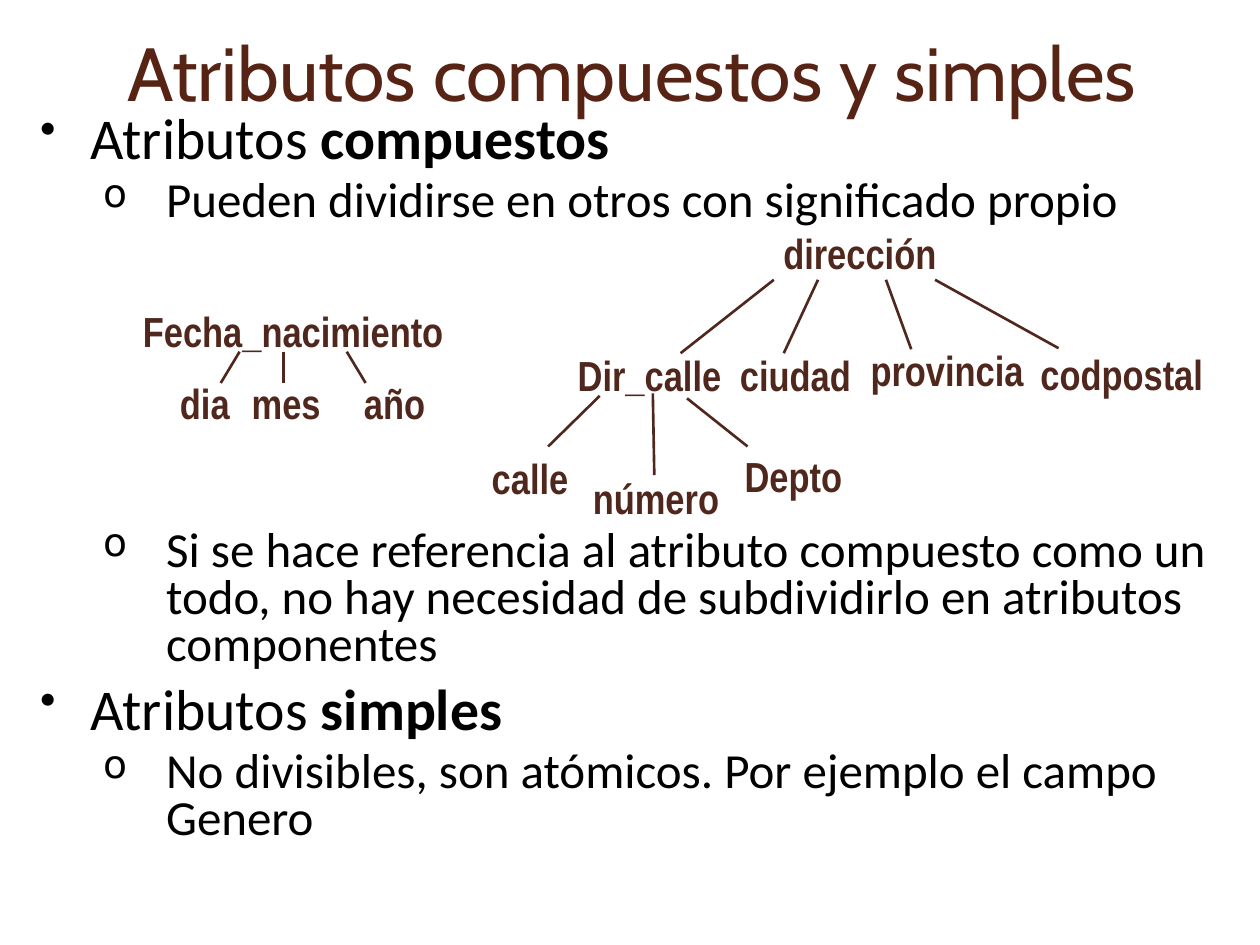
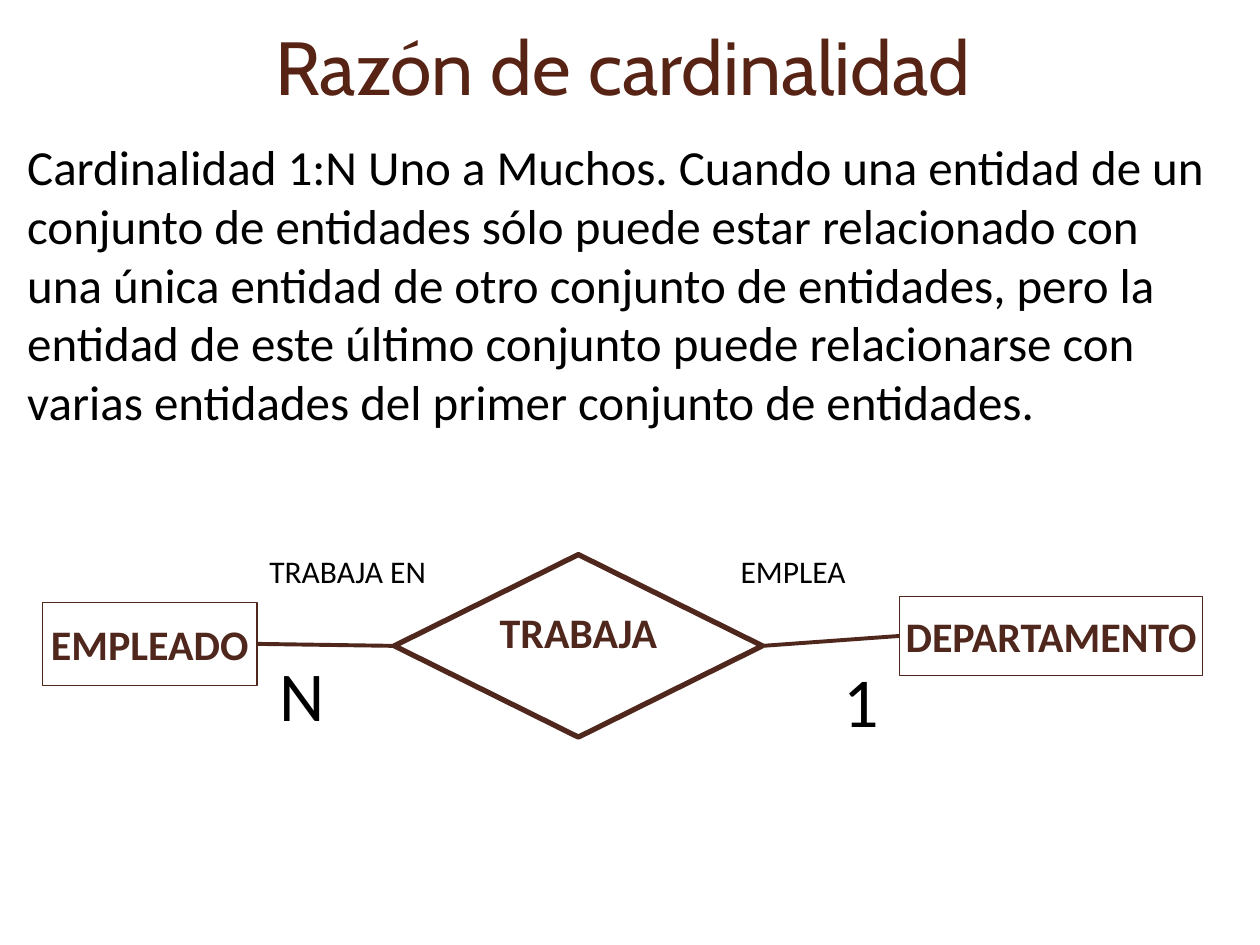
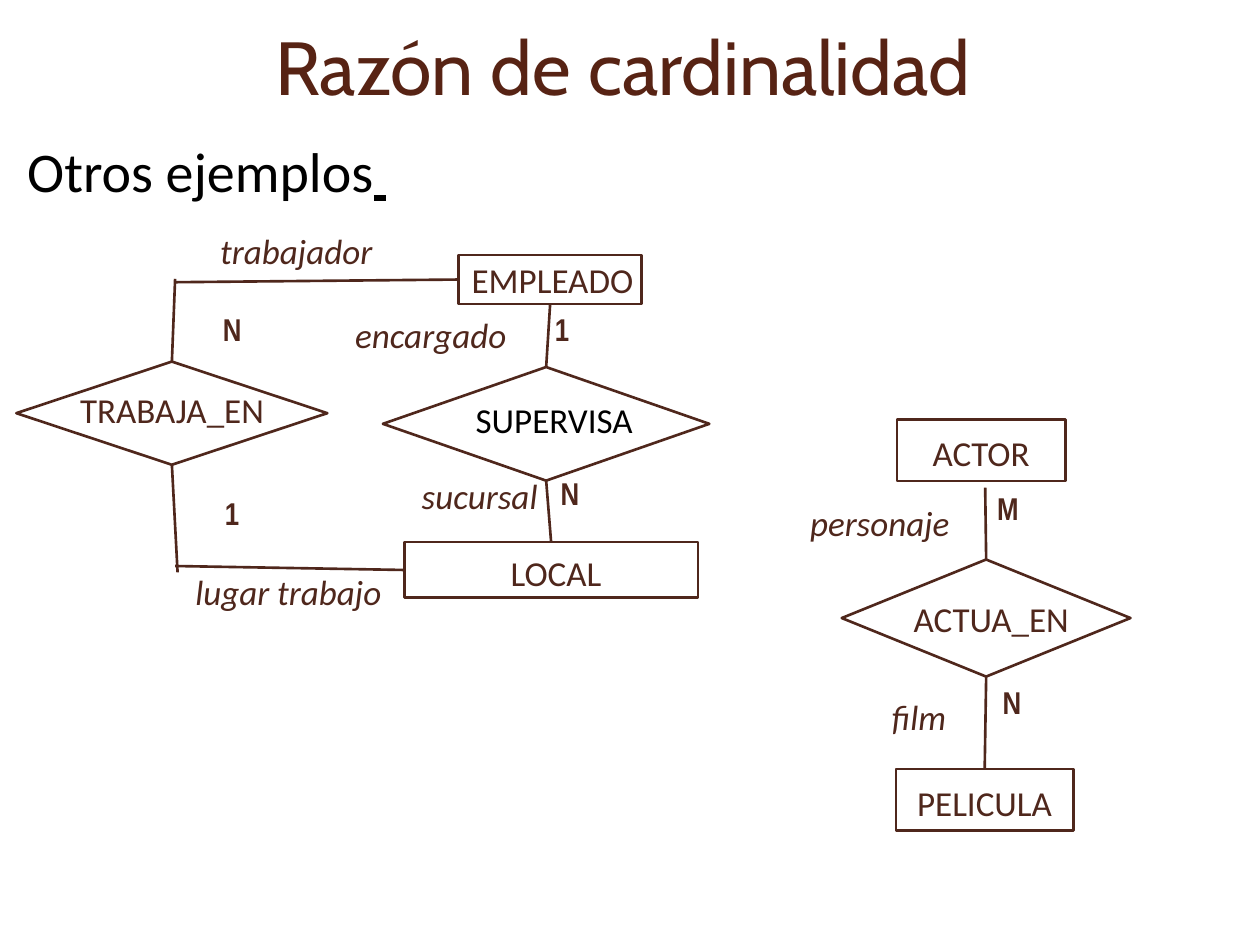
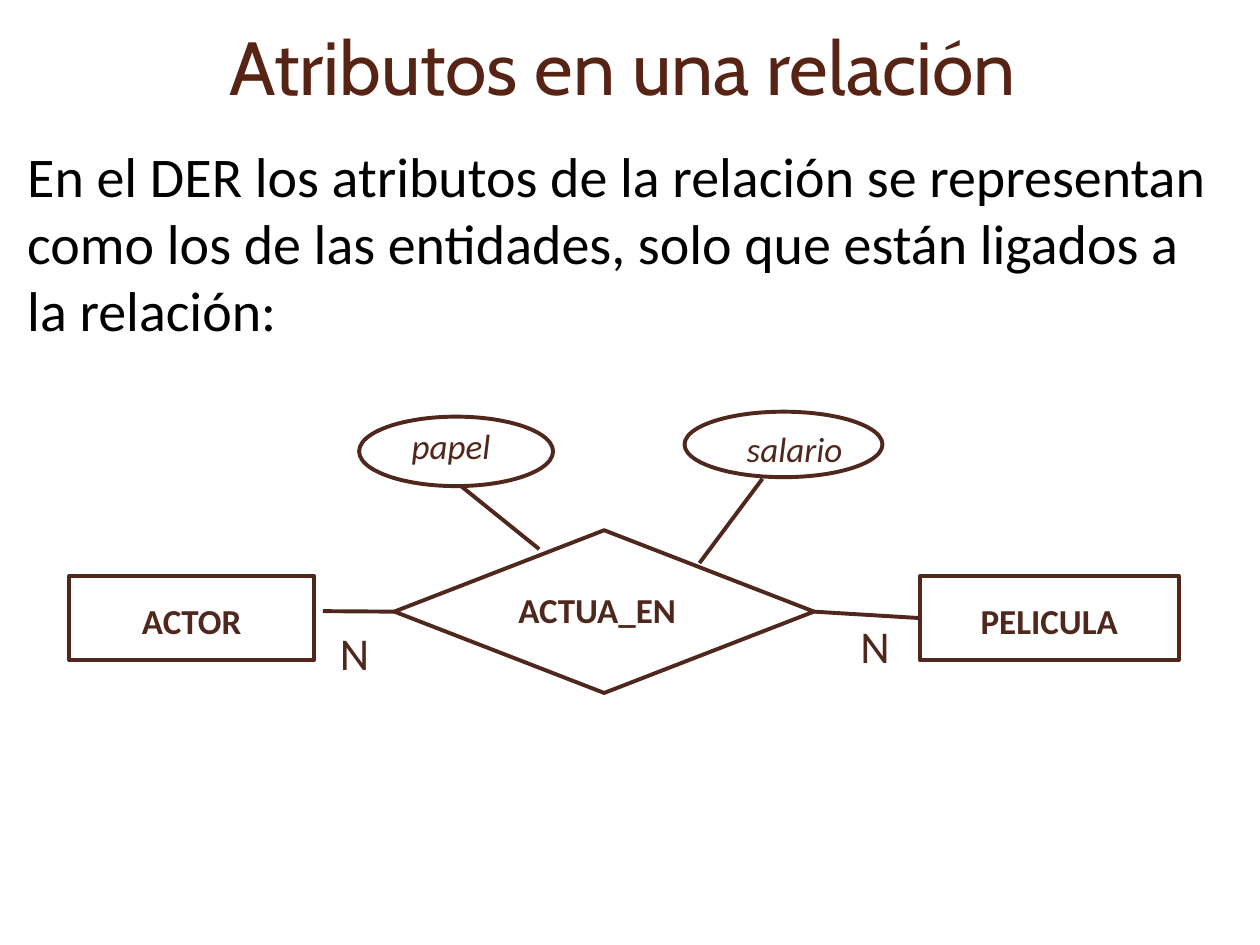
from dataclasses import dataclass
from typing import Any

from lxml import etree
from pptx import Presentation
from pptx.dml.color import RGBColor
from pptx.enum.shapes import MSO_CONNECTOR, MSO_SHAPE
from pptx.enum.text import MSO_ANCHOR, MSO_AUTO_SIZE, PP_ALIGN
from pptx.oxml.ns import qn
from pptx.util import Cm, Pt

STRAIGHT = MSO_CONNECTOR.STRAIGHT
RECTANGLE, DIAMOND, OVAL = MSO_SHAPE.RECTANGLE, MSO_SHAPE.DIAMOND, MSO_SHAPE.OVAL
TOP_ANCHOR, MIDDLE = MSO_ANCHOR.TOP, MSO_ANCHOR.MIDDLE
FIXED = MSO_AUTO_SIZE.NONE
LEFT_ALIGN, CENTER, RIGHT_ALIGN = PP_ALIGN.LEFT, PP_ALIGN.CENTER, PP_ALIGN.RIGHT
TOP, LEFT, BOTTOM, RIGHT = range(4)
TITLE_ONLY = 5

COLORS = {"title": "572314", "diagram": "4F271C", "text": "000000", "paper": "FFFFFF"}

TITLE_BOX = (0.3, 0, 24.51, 2.62)
STANDARD_INSETS = (0.25, 0.13, 0.25, 0.13)
TIGHT_INSETS = (0, 0.13, 0, 0.03)
SIDE_INSETS = (0.2, 0, 0.2, 0)

TITLE = {"name": "Cabin", "size": Pt(43), "bold": False}
BODY = {"name": "Calibri", "size": Pt(28)}
BODY_LARGE = {"name": "Calibri", "size": Pt(32)}
TREE_LABEL = {"name": "Arial Narrow", "size": Pt(24), "bold": True}
ENTITY_LARGE = {"name": "Calibri", "size": Pt(24), "bold": True}
ENTITY = {"name": "Calibri", "size": Pt(20)}
ENTITY_BOLD = {**ENTITY, "bold": True}
ROLE = {**ENTITY, "italic": True}
ROLE_SMALL = {"name": "Calibri", "size": Pt(18)}
CARDINALITY = {"name": "Arial Narrow", "size": Pt(18), "bold": True}
CARDINALITY_MEDIUM = {"name": "Calibri", "size": Pt(26)}
CARDINALITY_LARGE = {"name": "Calibri", "size": Pt(40)}

LEVELS = [
    {"bullet": "•", "indent": 1.02, "hanging": 1.02, "size": 33, "line_spacing": 0.7},
    {"bullet": "o", "indent": 2.54, "hanging": 1.27, "size": 28, "line_spacing": 0.8},
]


def rgb(color):
    return RGBColor.from_string(COLORS[color])


def set_all(target, values):
    for attribute, value in values.items():
        setattr(target, attribute, value)


def add_run(paragraph, text, font, color="text"):
    run = paragraph.add_run()
    run.text = text
    set_all(run.font, font)
    run.font.color.rgb = rgb(color)


def format_frame(frame, insets=STANDARD_INSETS, anchor=TOP_ANCHOR, wrap=True):
    sides = ("margin_left", "margin_top", "margin_right", "margin_bottom")
    set_all(frame, dict(zip(sides, map(Cm, insets))))
    set_all(frame, {"auto_size": FIXED, "vertical_anchor": anchor, "word_wrap": wrap})


def write(frame, text, font, color, align, **frame_format):
    format_frame(frame, **frame_format)
    paragraph = frame.paragraphs[0]
    paragraph.alignment = align
    add_run(paragraph, text, font, color)


@dataclass
class Region:
    """Draws on a slide, in centimetres from its own left and top."""
    slide: Any
    left: float = 0
    top: float = 0

    def place(self, x, y):
        return Cm(self.left + x), Cm(self.top + y)

    def text_box(self, x, y, width, height):
        return self.slide.shapes.add_textbox(*self.place(x, y), Cm(width), Cm(height))

    def label(self, text, box, font, color="diagram", align=CENTER, **frame_format):
        frame = self.text_box(*box).text_frame
        write(frame, text, font, color, align, **frame_format)
        return frame

    def outline(self, preset, box, weight, fill=None, text="", font=ENTITY, **frame_format):
        x, y, width, height = box
        shape = self.slide.shapes.add_shape(preset, *self.place(x, y), Cm(width), Cm(height))
        shape.shadow.inherit = False
        if fill:
            shape.fill.solid()
            shape.fill.fore_color.rgb = rgb(fill)
        else:
            shape.fill.background()
        shape.line.color.rgb = rgb("diagram")
        shape.line.width = Pt(weight)
        if text:
            write(shape.text_frame, text, font, "diagram", CENTER, **frame_format)
        return shape

    def link(self, start, end, weight=1.5):
        """Join two ends, each a point (x, y) or a pair (shape, side)."""
        points = [self.place(0, 0) if hasattr(a, "shape_id") else self.place(a, b)
                  for a, b in (start, end)]
        line = self.slide.shapes.add_connector(STRAIGHT, *points[0], *points[1])
        for (target, side), connect in ((start, line.begin_connect), (end, line.end_connect)):
            if hasattr(target, "shape_id"):
                connect(target, side)
        line.line.color.rgb = rgb("diagram")
        line.line.width = Pt(weight)
        properties = line._element.spPr
        etree.SubElement(properties, qn("a:effectLst"))


def add_titled_slide(deck, title, box=TITLE_BOX):
    slide = deck.slides.add_slide(deck.slide_layouts[TITLE_ONLY])
    heading = slide.shapes.title
    set_all(heading, dict(zip(("left", "top", "width", "height"), map(Cm, box))))
    write(heading.text_frame, title, TITLE, "title", CENTER, anchor=MIDDLE)
    return slide


def add_body(slide, text, box, font):
    return Region(slide).label(text, box, font, "text", LEFT_ALIGN)


def add_bullet(paragraph, level):
    properties = paragraph._p.get_or_add_pPr()
    properties.set("marL", str(Cm(level["indent"])))
    properties.set("indent", str(-Cm(level["hanging"])))
    etree.SubElement(properties, qn("a:buSzPct"), val="80000")
    etree.SubElement(properties, qn("a:buChar"), char=level["bullet"])


def add_outline_list(slide, box, items):
    """Write items of (level, text, bold ending, space before, space after)."""
    frame = Region(slide).text_box(*box).text_frame
    format_frame(frame)
    for index, (depth, text, ending, before, after) in enumerate(items):
        paragraph = frame.add_paragraph() if index else frame.paragraphs[0]
        level = LEVELS[depth]
        add_bullet(paragraph, level)
        set_all(paragraph, {"level": depth, "line_spacing": level["line_spacing"],
                            "space_before": Pt(before), "space_after": Pt(after)})
        font = {"name": "Calibri", "size": Pt(level["size"])}
        add_run(paragraph, text, font)
        if ending:
            add_run(paragraph, ending, {**font, "bold": True})


def draw_tree(region, names, branches):
    for name, x, y, width in names:
        region.label(name, (x, y, width, 1.28), TREE_LABEL, wrap=False)
    for start, end in branches:
        region.link(start, end)


def draw_birth_date(region):
    names = [("Fecha_nacimiento", 0, 0, 6.58), ("dia", 0.76, 1.47, 1.5),
             ("mes", 2.21, 1.47, 1.88), ("año", 4.47, 1.47, 1.73)]
    branches = [((upper, 1.07), (lower, 1.7))
                for upper, lower in ((2.21, 1.83), (3.1, 3.1), (4.37, 4.75))]
    draw_tree(region, names, branches)


def draw_address(region):
    names = [
        ("dirección", 6.32, 0, 3.53),
        ("Dir_calle", 2.41, 2.46, 2.87),
        ("ciudad", 5.44, 2.46, 2.69),
        ("provincia", 8.08, 2.36, 3.53),
        ("codpostal", 11.51, 2.44, 3.71),
        ("calle", 0, 4.55, 2.87),
        ("número", 2.54, 4.95, 2.87),
        ("Depto", 5.31, 4.5, 2.87),
    ]
    branches = [
        ((6.35, 1.19), (4.47, 2.67)),
        ((7.24, 1.19), (6.55, 2.67)),
        ((8.61, 1.19), (9.12, 2.59)),
        ((9.6, 1.19), (12.09, 2.57)),
        ((2.84, 3.53), (1.8, 4.55)),
        ((3.91, 3.48), (3.94, 5.13)),
        ((4.6, 3.58), (5.82, 4.55)),
    ]
    draw_tree(region, names, branches)


def draw_works(region):
    entity = {"font": ENTITY_LARGE, "insets": SIDE_INSETS, "anchor": MIDDLE, "wrap": False}
    employee = region.outline(RECTANGLE, (0, 1.14, 4.32, 1.68), 0.75, text="EMPLEADO", **entity)
    department = region.outline(RECTANGLE, (17.27, 1.02, 6.12, 1.6), 0.75,
                                text="DEPARTAMENTO", **entity)
    works = region.outline(DIAMOND, (7.09, 0.18, 7.42, 3.68), 3, text="TRABAJA",
                           font=ENTITY_LARGE)
    region.link((employee, RIGHT), (works, LEFT), 2.25)
    region.link((works, RIGHT), (department, LEFT), 2.25)
    for text, box, font in (
        ("TRABAJA EN", (4.32, 0, 3.68, 1.02), ROLE_SMALL),
        ("EMPLEA", (13.82, 0, 2.64, 1.02), ROLE_SMALL),
        ("N", (4.52, 2.01, 1.42, 1.96), CARDINALITY_LARGE),
        ("1", (15.9, 2.13, 1.24, 1.96), CARDINALITY_LARGE),
    ):
        region.label(text, box, font, "text", LEFT_ALIGN, wrap=False)


def add_roles(region, roles):
    for text, x, y, width, align in roles:
        region.label(text, (x, y, width, 1.12), ROLE, align=align, insets=TIGHT_INSETS)


def add_cardinalities(region, marks):
    for text, x, y in marks:
        region.label(text, (x, y, 1.24, 1.12), CARDINALITY, insets=TIGHT_INSETS)


def draw_staff(region):
    employee = region.outline(RECTANGLE, (8.92, 0.64, 3.68, 0.99), 1.5, text="EMPLEADO",
                              insets=(0.2, 0.03, 0.1, 0.03), anchor=MIDDLE)
    premises = region.outline(RECTANGLE, (7.82, 6.43, 5.92, 1.12), 1.5, text="LOCAL",
                              insets=(0.2, 0.13, 0, 0.03), anchor=MIDDLE)
    works_in = region.outline(DIAMOND, (0, 2.79, 6.27, 2.08), 1.5, "paper")
    supervises = region.outline(DIAMOND, (7.39, 2.9, 6.58, 2.29), 1.5, "paper")
    for start, end in (
        ((employee, BOTTOM), (supervises, TOP)),
        ((supervises, BOTTOM), (premises, TOP)),
        ((works_in, TOP), (3.2, 1.12)),
        ((3.2, 1.19), (employee, LEFT)),
        ((works_in, BOTTOM), (3.25, 7.04)),
        ((3.2, 6.91), (premises, LEFT)),
    ):
        region.link(start, end)
    region.label("TRABAJA_EN", (1.07, 3.2, 4.14, 1.22), ENTITY, wrap=False)
    region.label("SUPERVISA", (8.99, 3.4, 3.71, 1.12), ENTITY, "text", wrap=False)
    add_roles(region, [
        ("trabajador", 4.11, 0, 3.68, LEFT_ALIGN),
        ("encargado", 6.83, 1.7, 3.68, LEFT_ALIGN),
        ("sucursal", 7.54, 4.93, 2.97, RIGHT_ALIGN),
        ("lugar trabajo", 3.25, 6.88, 4.47, CENTER),
    ])
    add_cardinalities(region, [("N", 3.73, 1.63), ("1", 3.73, 5.33),
                               ("1", 10.38, 1.63), ("N", 10.54, 4.93)])


def draw_cast(region):
    entity = {"insets": TIGHT_INSETS, "anchor": MIDDLE}
    region.outline(RECTANGLE, (1.75, 0, 3.4, 1.24), 1.5, text="ACTOR", **entity)
    film = region.outline(RECTANGLE, (1.73, 7.04, 3.58, 1.24), 1.5, text="PELICULA", **entity)
    acts_in = region.outline(DIAMOND, (0.64, 2.82, 5.82, 2.36), 1.5)
    region.link((acts_in, TOP), (3.53, 1.37))
    region.link((acts_in, BOTTOM), (film, TOP))
    region.label("ACTUA_EN", (1.75, 3.45, 3.81, 1.37), ENTITY, wrap=False)
    add_roles(region, [("personaje", 0, 1.52, 4.01, LEFT_ALIGN),
                       ("film", 1.65, 5.44, 2.95, LEFT_ALIGN)])
    add_cardinalities(region, [("M", 3.37, 1.27), ("N", 3.45, 5.18)])


def draw_relation_attributes(region):
    entity = {"font": ENTITY_BOLD, "insets": TIGHT_INSETS, "anchor": MIDDLE}
    region.outline(RECTANGLE, (0, 3.51, 4.93, 1.7), 2.25, "paper", "ACTOR", **entity)
    film = region.outline(RECTANGLE, (17.15, 3.51, 5.21, 1.7), 2.25, "paper", "PELICULA", **entity)
    acts_in = region.outline(DIAMOND, (6.55, 2.59, 8.46, 3.28), 2.25, "paper")
    region.label("ACTUA_EN", (7.87, 3.63, 5.54, 1.5), ENTITY_BOLD, wrap=False)
    for attribute, oval, caption in (
        ("papel", (5.84, 0.3, 3.91, 1.4), (6.45, 0, 2.49, 1.78)),
        ("salario", (12.4, 0.2, 3.99, 1.32), (13.16, 0.05, 2.92, 1.78)),
    ):
        region.outline(OVAL, oval, 2.25, "paper")
        region.label(attribute, caption, ROLE, insets=(0.1,) * 4, anchor=MIDDLE, wrap=False)
    for start, end in (
        ((acts_in, LEFT), (5.11, 4.22)),
        ((acts_in, RIGHT), (film, LEFT)),
        ((7.87, 1.68), (9.47, 2.97)),
        ((13.97, 1.55), (12.7, 3.25)),
    ):
        region.link(start, end, 2.25)
    for box in ((5.23, 4.37, 1.04, 1.42), (15.54, 4.22, 1.4, 1.55)):
        region.label("N", box, CARDINALITY_MEDIUM, insets=TIGHT_INSETS, wrap=False)


def build_composite_attributes(deck):
    slide = add_titled_slide(deck, "Atributos compuestos y simples", (0.56, 0, 24.36, 2.87))
    add_outline_list(slide, (0.56, 2.31, 25.1, 16.21), [
        (0, "Atributos ", "compuestos", 0, 6),
        (1, "Pueden dividirse en otros con significado propio", "", 0, 6),
        (1, "Si se hace referencia al atributo compuesto como un todo, no hay "
            "necesidad de subdividirlo en atributos componentes", "", 167, 12),
        (0, "Atributos ", "simples", 0, 6),
        (1, "No divisibles, son atómicos. Por ejemplo el campo Genero", "", 0, 6),
    ])
    draw_birth_date(Region(slide, 2.62, 6.02))
    draw_address(Region(slide, 9.25, 4.45))


def build_one_to_many(deck):
    slide = add_titled_slide(deck, "Razón de cardinalidad")
    add_body(slide, "Cardinalidad 1:N Uno a Muchos. Cuando una entidad de un conjunto de "
             "entidades sólo puede estar relacionado con una única entidad de otro conjunto "
             "de entidades, pero la entidad de este último conjunto puede relacionarse con "
             "varias entidades del primer conjunto de entidades.",
             (0.3, 2.62, 24.51, 6.91), BODY)
    draw_works(Region(slide, 0.86, 11))


def build_more_examples(deck):
    slide = add_titled_slide(deck, "Razón de cardinalidad")
    frame = add_body(slide, "Otros ejemplos", (0.3, 2.77, 24.51, 1.7), BODY_LARGE)
    heading = frame.paragraphs[0]
    heading.line_spacing = 0.9
    add_run(heading, " ", {**BODY_LARGE, "underline": True})
    draw_staff(Region(slide, 0.33, 4.5))
    draw_cast(Region(slide, 16.33, 8.46))


def build_relation_attributes(deck):
    slide = add_titled_slide(deck, "Atributos en una relación")
    add_body(slide, "En el DER los atributos de la relación se representan como los de las "
             "entidades, solo que están ligados a la relación:",
             (0.3, 2.72, 24.51, 4.29), BODY_LARGE)
    draw_relation_attributes(Region(slide, 1.4, 8.1))


def main():
    deck = Presentation()
    deck.slide_width, deck.slide_height = Cm(25.4), Cm(19.05)
    build_composite_attributes(deck)
    build_one_to_many(deck)
    build_more_examples(deck)
    build_relation_attributes(deck)
    deck.save("out.pptx")


if __name__ == "__main__":
    main()
